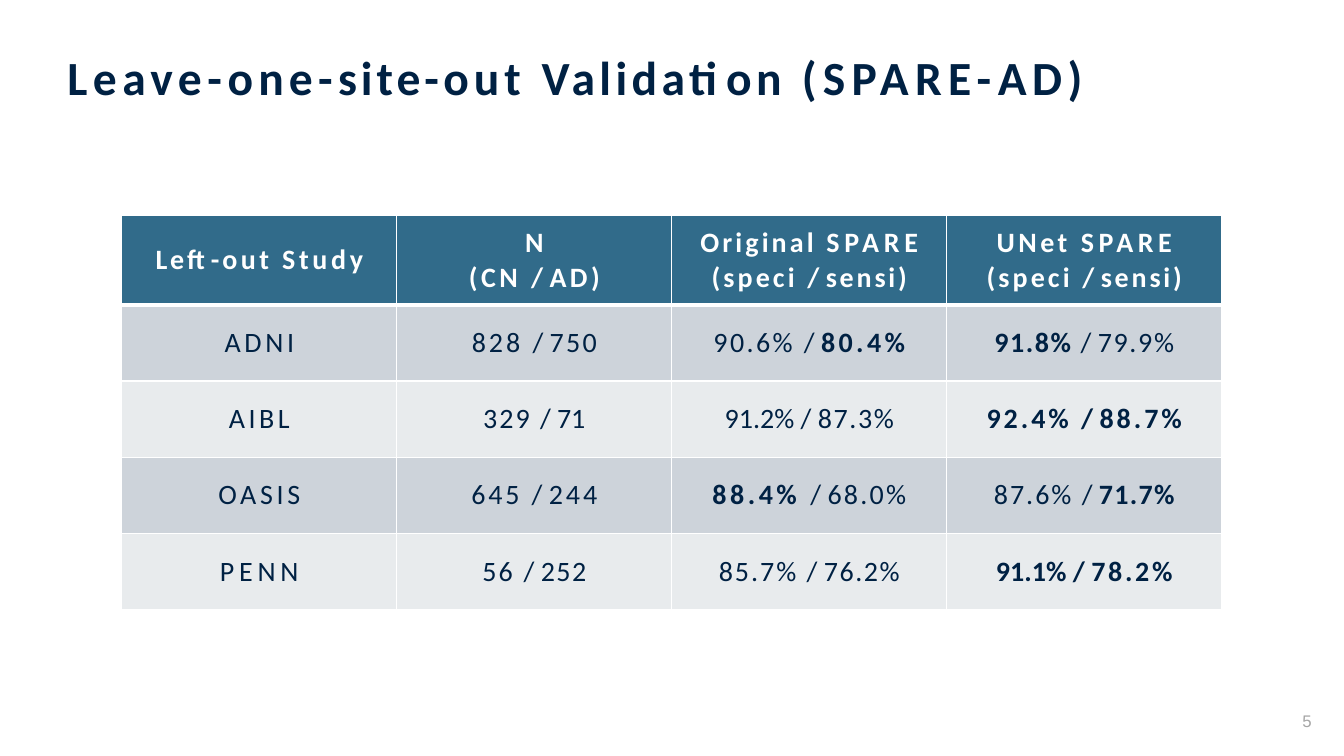
import pptx
import pptx.util
import pptx.dml.color
import pptx.enum.text
import pptx.oxml.ns
import lxml.etree

Cm, Pt = pptx.util.Cm, pptx.util.Pt
RGB = pptx.dml.color.RGBColor.from_string
ALIGN = pptx.enum.text.PP_ALIGN
COLORS = {"navy": "002143", "teal": "316B8A", "white": "FFFFFF",
          "dark": "CDD3DA", "light": "E8EBED", "gray": "A6A6A6"}


def write(par, runs, font, size, color):
    """Fill a paragraph with (text, letter spacing) runs; a leading * is bold."""
    par.font.name, par.font.size = font, Pt(size)
    par.font.color.rgb = RGB(COLORS[color])
    bolds = [text.startswith("*") for text, gap in runs]
    par.font.bold = all(bolds)
    for (text, gap), bold in zip(runs, bolds):
        run = par.add_run()
        run.text = text.removeprefix("*")
        if bold != par.font.bold:
            run.font.bold = bold
        run._r.get_or_add_rPr().set("spc", str(round(gap * 100)))


def add_box(left, top, width, height):
    """Add a text box without margins and return its first paragraph."""
    frame = slide.shapes.add_textbox(Cm(left), Cm(top), Cm(width), Cm(height)).text_frame
    frame.word_wrap = True
    frame.margin_left = frame.margin_right = frame.margin_top = frame.margin_bottom = 0
    return frame.paragraphs[0]


deck = pptx.Presentation()
deck.slide_width, deck.slide_height = Cm(33.87), Cm(19.05)
slide = deck.slides.add_slide(deck.slide_layouts[6])

# Title
title = add_box(1.7, 1.22, 30.15, 1.57)
title.space_before = Pt(0.9)
write(title, [("*Leave-", 3.9), ("*one-", 3.7), ("*site-", 2.9), ("*out ", 3.6),
              ("*Validation ", 3.2), ("*(SPARE-", 4.5), ("*AD)", 4)],
      "Calibri", 34, "navy")

# Table content: rows of cells, cells of lines, lines of runs
rates = [("*(speci ", 2.2), ("*/ ", 0), ("*sensi)", 2)]
rows = [
    [[[("*Left-", 2.1), ("*out ", 2.4), ("*Study", 2.6)]],
     [[("*N", 2.4)], [("*(CN ", 2.5), ("*/ ", 0), ("*AD)", 2.4)]],
     [[("*Original ", 2.2), ("*SPARE", 3.4)], rates],
     [[("*UNet ", 2.5), ("*SPARE", 3.3)], rates]],
    [[[("ADNI", 2.6)]],
     [[("828 ", 2.1), ("/ ", 0), ("750", 1.6)]],
     [[("90.6% ", 1.7), ("/ ", 0), ("*80.4%", 2.4)]],
     [[("*91.8% ", 1.1), ("/ ", 0), ("79.9%", 1.2)]]],
    [[[("AIBL", 2.5)]],
     [[("329 ", 1.4), ("/ ", 0), ("71", -0.2)]],
     [[("91.2% / ", 0), ("87.3%", 1.1)]],
     [[("*92.4% ", 2.1), ("*/ ", 0), ("*88.7%", 2.1)]]],
    [[[("OASIS", 2.6)]],
     [[("645 ", 2), ("/ ", 0), ("244", 2.1)]],
     [[("*88.4% ", 2.5), ("/ ", 0), ("68.0%", 1.6)]],
     [[("87.6% ", 1.4), ("/ ", 0), ("*71.7%", 0.9)]]],
    [[[("PENN", 3.4)]],
     [[("56 ", 1.6), ("/ ", 0), ("252", 1)]],
     [[("85.7% ", 1.4), ("/ ", 0), ("76.2%", 1.1)]],
     [[("*91.1% / ", 0), ("*78.2%", 1.9)]]],
]

# Table
table = slide.shapes.add_table(len(rows), 4, Cm(3.07), Cm(5.44), Cm(27.72), Cm(9.92)).table
for col in table.columns:
    col.width = Cm(6.93)
for r, row in enumerate(rows):
    table.rows[r].height = Cm(1.92 if r else 2.24)
    fill = ("dark" if r % 2 else "light") if r else "teal"
    for c, lines in enumerate(row):
        cell = table.cell(r, c)
        cell.margin_left = cell.margin_right = cell.margin_top = cell.margin_bottom = 0
        cell.vertical_anchor = pptx.enum.text.MSO_ANCHOR.MIDDLE

        # White borders, thick below the header
        for side in "LRTB":
            thick = (r, side) in [(0, "B"), (1, "T")]
            line = lxml.etree.SubElement(cell._tc.get_or_add_tcPr(),
                                         pptx.oxml.ns.qn("a:ln" + side),
                                         w=str(Pt(3 if thick else 1)))
            solid = lxml.etree.SubElement(line, pptx.oxml.ns.qn("a:solidFill"))
            lxml.etree.SubElement(solid, pptx.oxml.ns.qn("a:srgbClr"), val=COLORS["white"])
        cell.fill.solid()
        cell.fill.fore_color.rgb = RGB(COLORS[fill])

        for i, runs in enumerate(lines):
            frame = cell.text_frame
            par = frame.add_paragraph() if i else frame.paragraphs[0]
            par.alignment = ALIGN.CENTER
            write(par, runs, "Calibri", 20, "navy" if r else "white")

# Page number
page = add_box(32.82, 17.91, 0.6, 0.53)
page.line_spacing = Pt(14.2)
write(page, [("5", -0.2)], "Arial", 12, "gray")

deck.save("out.pptx")
